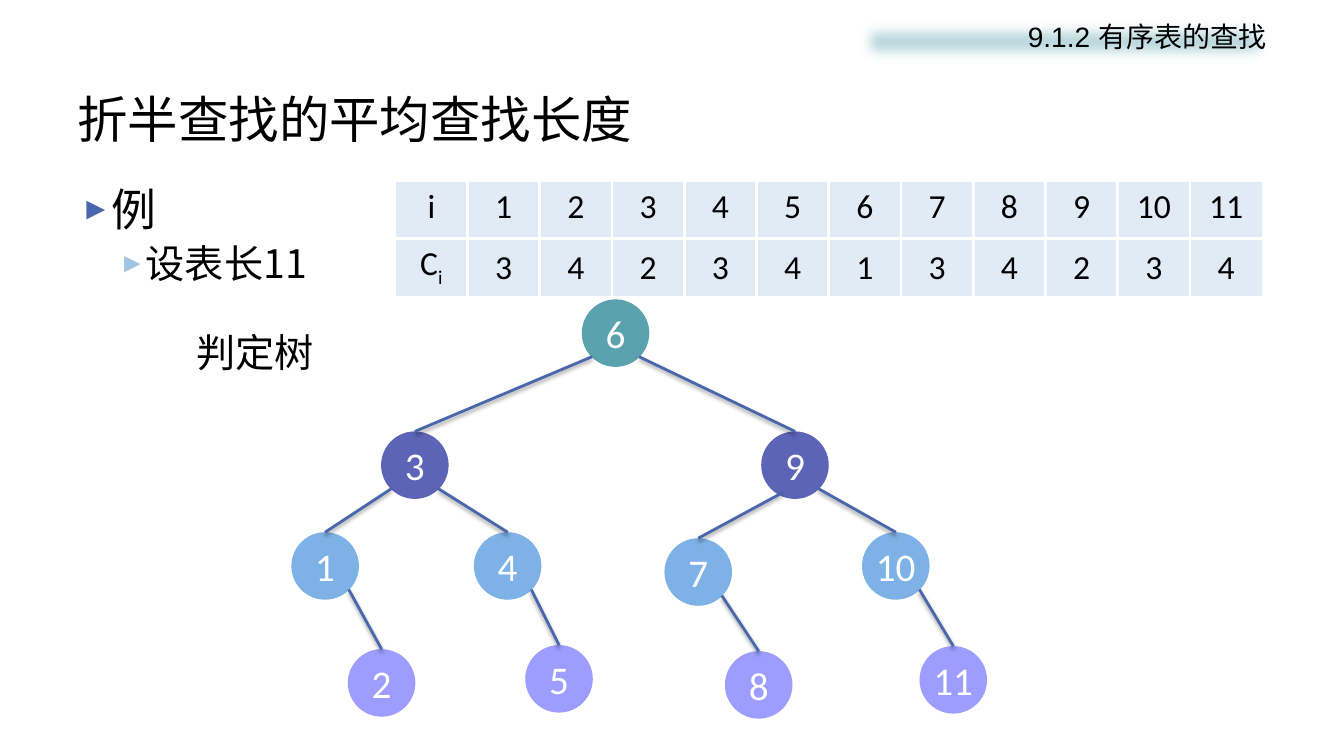
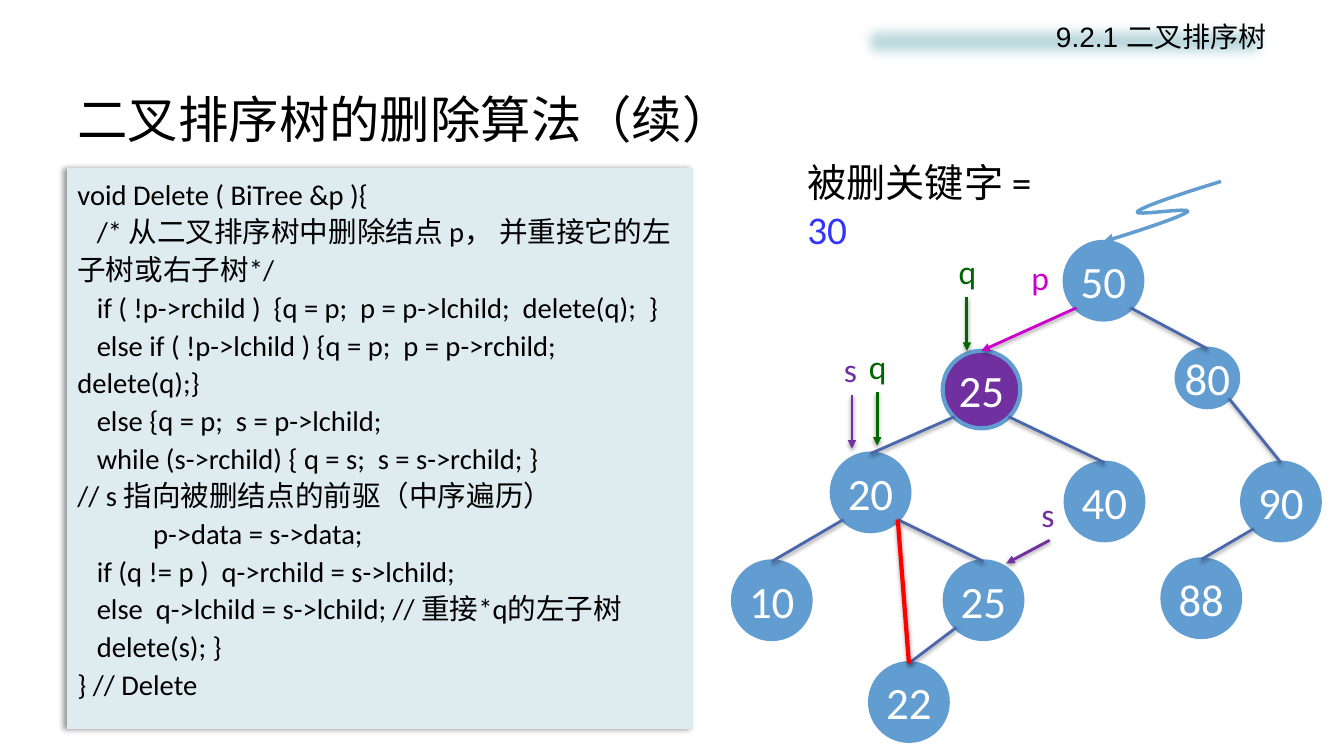
from lxml.etree import SubElement
from pptx import Presentation
from pptx.dml.color import RGBColor
from pptx.enum.shapes import MSO_CONNECTOR, MSO_SHAPE
from pptx.enum.text import MSO_ANCHOR, PP_ALIGN
from pptx.oxml.ns import qn
from pptx.util import Inches, Pt

COLORS = {
    "text": "000000", "white": "FFFFFF", "band": "BDDADF", "edge": "4A66AC",
    "bullet": "4A66AC", "sub_bullet": "A1C4E3", "cell": "E0EBF6", "code": "DEECEF",
    "level1": "5AA2AE", "level2": "5C64B7", "level3": "7EB2E6", "level4": "9D9DFF",
    "node": "629DD1", "deleted": "7030A0", "red": "FF0000", "key": "3333FF",
    "p": "CC00CC", "q": "006600", "s": "7030A0",
}
LATIN, CJK, HEADER = "Calibri", "Noto Sans CJK SC", "Arial"

CODE = [
    "void Delete ( BiTree &p ){",
    "   /* 从二叉排序树中删除结点 p， 并重接它的左子树或右子树*/",
    "   if ( !p->rchild )  {q = p;  p = p->lchild;  delete(q);  }",
    "   else if ( !p->lchild ) {q = p;  p = p->rchild;  delete(q);}",
    "   else {q = p;  s = p->lchild;",
    "   while (s->rchild) { q = s;  s = s->rchild; }",
    "// s 指向被删结点的前驱（中序遍历）",
    "\tp->data = s->data;",
    "   if (q != p )  q->rchild = s->lchild;",
    "   else  q->lchild = s->lchild; // 重接*q的左子树",
    "   delete(s); }",
    "} // Delete",
]


# Basic helpers
def rgb(name):
    return RGBColor.from_string(COLORS[name])


def style_run(r, size, color="text", font=LATIN):
    r.font.size = Pt(size)
    r.font.color.rgb = rgb(color)
    r.font.name = font
    SubElement(r._r.get_or_add_rPr(), qn("a:ea")).set("typeface", CJK)


def write(tf, lines, size, color="text", font=LATIN, align=PP_ALIGN.LEFT):
    tf.text = "\n".join(lines)
    for p in tf.paragraphs:
        p.alignment = align
        for r in p.runs:
            style_run(r, size, color, font)


def add_text(s, box, lines, size, color="text", font=LATIN, wrap=True,
             align=PP_ALIGN.LEFT):
    tf = s.shapes.add_textbox(*map(Inches, box)).text_frame
    tf.word_wrap = wrap
    write(tf, lines, size, color, font, align)
    return tf


def add_block(s, kind, box, fill, line=None, width=0.75):
    sp = s.shapes.add_shape(kind, *map(Inches, box))
    sp.fill.solid()
    sp.fill.fore_color.rgb = rgb(fill)
    if line:
        sp.line.color.rgb = rgb(line)
        sp.line.width = Pt(width)
    else:
        sp.line.fill.background()
    sp.shadow.inherit = False
    return sp


def add_effect(sp, tag, **attrs):
    sp_pr = sp._element.spPr
    effects = sp_pr.find(qn("a:effectLst"))
    if effects is None:
        effects = SubElement(sp_pr, qn("a:effectLst"))
    effect = SubElement(effects, qn(tag))
    for name, value in attrs.items():
        effect.set(name, str(value))
    return effect


def add_shadow(sp, blur, dist, angle, opacity):
    shadow = add_effect(sp, "a:outerShdw", blurRad=Pt(blur), dist=Pt(dist),
                        dir=angle * 60000, algn="ctr", rotWithShape=0)
    color = SubElement(shadow, qn("a:srgbClr"))
    color.set("val", COLORS["text"])
    SubElement(color, qn("a:alpha")).set("val", str(opacity * 1000))


def add_arrowhead(sp):
    SubElement(sp.line._get_or_add_ln(), qn("a:tailEnd")).set("type", "triangle")


def add_line(s, start, end, color="edge", width=2, arrow=False):
    line = s.shapes.add_connector(MSO_CONNECTOR.STRAIGHT, *map(Inches, (*start, *end)))
    line.line.color.rgb = rgb(color)
    line.line.width = Pt(width)
    if arrow:
        add_arrowhead(line)
    add_shadow(line, 3.1, 1.6, 90, 38)
    return line


# Shared frame: section band and title
def add_frame(prs, section, title):
    s = prs.slides.add_slide(prs.slide_layouts[6])
    tf = add_text(s, (0.67, 0.8, 12, 0.75), [title], 36, font=CJK)
    tf.vertical_anchor = MSO_ANCHOR.MIDDLE
    band = add_block(s, MSO_SHAPE.RECTANGLE, (8.46, 0.14, 4.2, 0.54), "band")
    add_effect(band, "a:softEdge", rad=Pt(10))
    band.text_frame.vertical_anchor = MSO_ANCHOR.TOP
    write(band.text_frame, [section], 20, font=HEADER, align=PP_ALIGN.RIGHT)
    return s


# Binary tree: each edge leaves the parent's lower corner for the child's top
def add_tree(s, origin, nodes, edges, size, font_size, outline=None, starts=None):
    x0, y0 = origin
    placed = {}
    for key, (label, x, y, fill, *own_size) in nodes.items():
        w, h = own_size or (size, size)
        box = (x0 + x, y0 + y, w, h)
        sp = add_block(s, MSO_SHAPE.OVAL, box, fill, outline, 3)
        tf = sp.text_frame
        tf.word_wrap = False
        tf.vertical_anchor = MSO_ANCHOR.MIDDLE
        write(tf, [label], font_size, "white", align=PP_ALIGN.CENTER)
        placed[key] = (sp, box)
    for parent, child, *look in edges:
        px, py, pw, ph = placed[parent][1]
        sp, (cx, cy, cw, _) = placed[child]
        side = 0.15 if cx + cw / 2 < px + pw / 2 else 0.85
        fx, fy = (starts or {}).get((parent, child), (side, 0.85))
        line = add_line(s, (px + fx * pw, py + fy * ph), (cx + cw / 2, cy), *look)
        line.end_connect(sp, 0)


# Bulleted example
def add_example(s, box):
    tf = add_text(s, box, ["例", "设表长11"], 32, font=CJK)
    looks = [(32, 0.28, 0.28, 0, "bullet"), (28, 0.61, 0.23, 3, "sub_bullet")]
    for p, (size, margin, hang, before, color) in zip(tf.paragraphs, looks):
        p_pr = p._p.get_or_add_pPr()
        p_pr.set("marL", str(Inches(margin)))
        p_pr.set("indent", str(-Inches(hang)))
        bullet_color = SubElement(p_pr, qn("a:buClr"))
        SubElement(bullet_color, qn("a:srgbClr")).set("val", COLORS[color])
        SubElement(p_pr, qn("a:buSzPct")).set("val", "70000")
        SubElement(p_pr, qn("a:buFont")).set("typeface", HEADER)
        SubElement(p_pr, qn("a:buChar")).set("char", "►")
        p.space_before = Pt(before)
        p.runs[0].font.size = Pt(size)


# Table of comparison counts, with the counts laid over its second row
def add_counts(s, box, rows, counts):
    left, top, width, height = box
    n_rows, n_cols = len(rows), len(rows[0])
    table = s.shapes.add_table(n_rows, n_cols, *map(Inches, box)).table
    table.first_row = table.horz_banding = False
    for i, row in enumerate(rows):
        for j, value in enumerate(row):
            cell = table.cell(i, j)
            write(cell.text_frame, [value], 24, align=PP_ALIGN.CENTER)
            tc_pr = cell._tc.get_or_add_tcPr()
            inner = {"a:lnL": j > 0, "a:lnR": j < n_cols - 1,
                     "a:lnT": i > 0, "a:lnB": i < n_rows - 1}
            for side in (side for side, drawn in inner.items() if drawn):
                ln = SubElement(tc_pr, qn(side))
                ln.set("w", str(Pt(2.25)))
                fill = SubElement(ln, qn("a:solidFill"))
                SubElement(fill, qn("a:srgbClr")).set("val", COLORS["white"])
            cell.fill.solid()
            cell.fill.fore_color.rgb = rgb("cell")
    # Subscript in the second row's heading
    r = table.cell(1, 0).text_frame.paragraphs[0].add_run()
    r.text = "i"
    style_run(r, 24)
    r._r.get_or_add_rPr().set("baseline", "-25000")
    pitch = width / n_cols
    for j, count in enumerate(counts, 1):
        x = left + (j + 0.5) * pitch - 0.22
        add_text(s, (x, top + height / 2 + 0.02, 0.44, 0.5), [count], 24,
                 align=PP_ALIGN.CENTER)


# Code panel
def add_code(s, box):
    panel = add_block(s, MSO_SHAPE.RECTANGLE, box, "code", "code")
    add_shadow(panel, 4, 3, 180, 40)
    tf = panel.text_frame
    tf.word_wrap = True
    tf.vertical_anchor = MSO_ANCHOR.TOP
    write(tf, CODE, 20.4)
    for p in tf.paragraphs:
        p.line_spacing = 1.1
        tabs = SubElement(p._p.get_or_add_pPr(), qn("a:tabLst"))
        tab = SubElement(tabs, qn("a:tab"))
        tab.set("pos", str(Inches(0.75)))
        tab.set("algn", "l")


# Pointer name with an optional arrow below it
def add_pointer(s, origin, name, x, y, arrow=None):
    left, top = origin[0] + x, origin[1] + y
    add_text(s, (left, top, 0.38, 0.5), [name], 24, name, wrap=False)
    if arrow:
        start = (left + 0.18, top + 0.51)
        end = (start[0] + arrow[0], start[1] + arrow[1])
        add_line(s, start, end, name, arrow=True)


# Squiggle that points at the root
def add_squiggle(s, origin):
    curves = [
        [(1.17, 0), (0.78, 0.12), (0.39, 0.25), (0.34, 0.3)],
        [(0.34, 0.3), (0.28, 0.35), (0.89, 0.25), (0.84, 0.3)],
        [(0.84, 0.3), (0.78, 0.35), (0.39, 0.48), (0, 0.6)],
    ]
    steps = 8
    points = []
    for curve in curves:
        for i in range(steps + 1):
            t = i / steps
            weights = ((1 - t) ** 3, 3 * t * (1 - t) ** 2, 3 * t * t * (1 - t), t ** 3)
            points.append(tuple(
                Inches(origin[k] + sum(w * pt[k] for w, pt in zip(weights, curve)))
                for k in (0, 1)))
    builder = s.shapes.build_freeform(*points[0], scale=1.0)
    builder.add_line_segments(points[1:], close=False)
    sp = builder.convert_to_shape()
    sp.fill.background()
    sp.line.color.rgb = rgb("node")
    sp.line.width = Pt(2.5)
    sp.shadow.inherit = False
    add_arrowhead(sp)


def build_search_length(prs):
    s = add_frame(prs, "9.1.2 有序表的查找", "折半查找的平均查找长度")
    add_example(s, (0.7, 1.75, 3.2, 1.3))
    counts = "3 4 2 3 4 1 3 4 2 3 4".split()
    add_counts(s, (3.92, 1.8, 8.6, 1.14),
               [["i"] + [str(n) for n in range(1, 12)], ["C"] + [""] * 11], counts)
    add_text(s, (1.85, 3.21, 1.38, 0.57), ["判定树"], 28, wrap=False)
    places = {
        6: (2.88, 0), 3: (0.89, 1.31), 9: (4.66, 1.31), 1: (0, 2.31),
        4: (1.81, 2.31), 7: (3.7, 2.37), 10: (5.66, 2.31), 2: (0.56, 3.47),
        5: (2.32, 3.43), 8: (4.3, 3.49), 11: (6.23, 3.44),
    }
    # A node's level is its comparison count
    nodes = {n: (str(n), x, y, "level" + counts[n - 1]) for n, (x, y) in places.items()}
    edges = [(6, 3), (6, 9), (3, 1), (3, 4), (1, 2), (4, 5),
             (9, 7), (9, 10), (7, 8), (10, 11)]
    add_tree(s, (2.89, 2.97), nodes, edges, 0.67, 28, starts={(9, 7): (0.31, 0.91)})


def build_deletion(prs):
    s = add_frame(prs, "9.2.1 二叉排序树", "二叉排序树的删除算法（续）")
    add_code(s, (0.67, 1.67, 6.2, 5.56))
    tf = add_text(s, (7.91, 1.52, 2.75, 1), ["被删关键字 ="], 28)
    r = tf.paragraphs[0].add_run()
    r.text = " 30"
    style_run(r, 28, "key")

    origin = (7.27, 2.4)
    nodes = {
        "root": ("50", 3.29, 0, "node"), "deleted": ("25", 2.08, 1.08, "deleted"),
        "80": ("80", 4.4, 1.06, "node", 0.61, 0.58), "20": ("20", 0.98, 2.1, "node"),
        "40": ("40", 3.3, 2.19, "node"), "90": ("90", 5.05, 2.19, "node"),
        "10": ("10", 0, 3.17, "node"), "25": ("25", 2.1, 3.17, "node"),
        "88": ("88", 4.26, 3.15, "node"), "22": ("22", 1.36, 4.18, "node"),
    }
    edges = [("root", "deleted", "p", 2, True), ("root", "80"), ("deleted", "20"),
             ("deleted", "40"), ("80", "90"), ("90", "88"), ("20", "10"),
             ("20", "25"), ("25", "22"), ("20", "22", "red", 3)]
    add_tree(s, origin, nodes, edges, 0.77, 32, "node")
    add_squiggle(s, (10.94, 1.8))
    down = (0, 0.53)
    for pointer in [("p", 2.86, 0.1), ("q", 2.14, 0.04, down), ("s", 1, 1.01, down),
                    ("s", 2.96, 2.45, (-0.43, 0.23)), ("q", 1.25, 0.98, down)]:
        add_pointer(s, origin, *pointer)


def main():
    prs = Presentation()
    prs.slide_width, prs.slide_height = Inches(13.33), Inches(7.5)
    build_search_length(prs)
    build_deletion(prs)
    prs.save("out.pptx")


if __name__ == "__main__":
    main()
